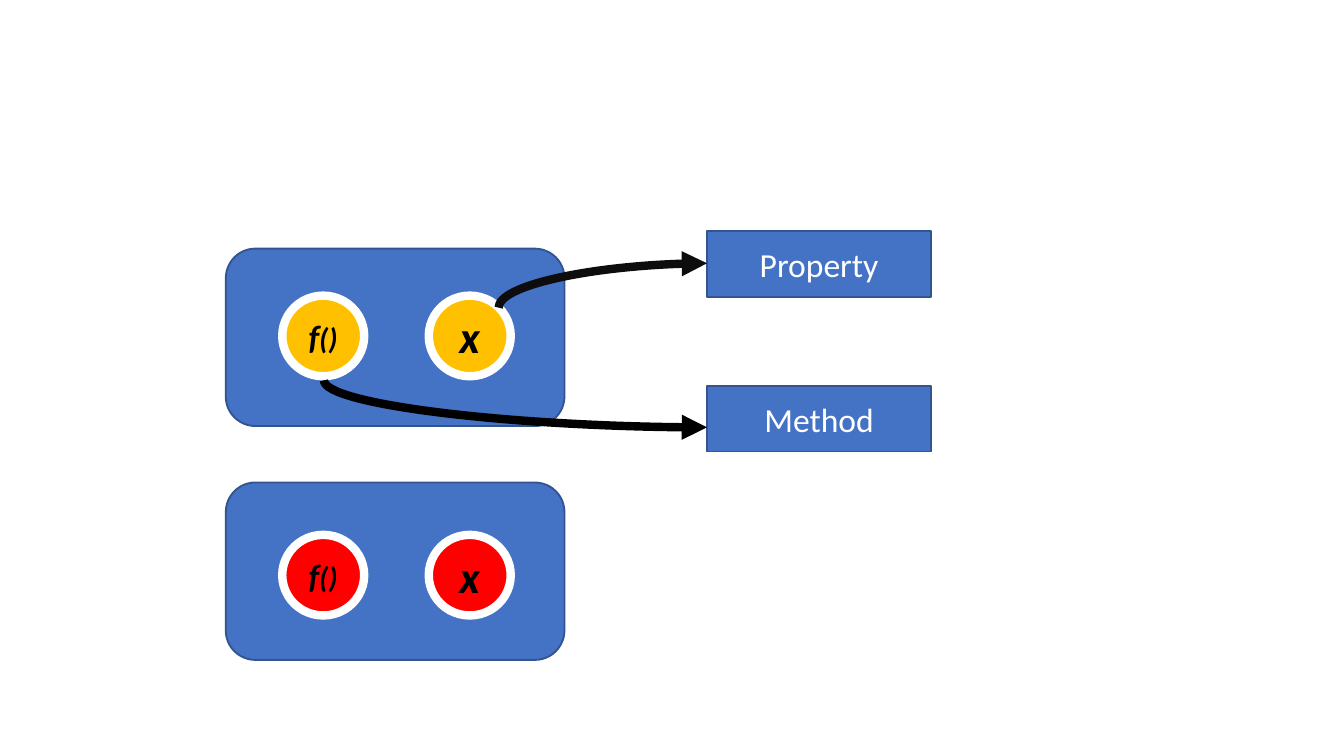
from lxml import etree
from pptx import Presentation
from pptx.dml.color import RGBColor
from pptx.enum.shapes import MSO_CONNECTOR, MSO_SHAPE
from pptx.enum.text import MSO_ANCHOR, PP_ALIGN
from pptx.oxml.ns import qn
from pptx.util import Inches, Pt

HUES = {"blue": "4472C4", "edge": "325491", "gold": "FFC000", "red": "FF0000",
        "white": "FFFFFF", "black": "000000", "ink": "0D0D0D"}

# Objects: card top, member top, member fill
CARDS = [(1.85, 2.2, "gold"), (3.59, 3.98, "red")]
# Members of each object: runs of (text, size)
MEMBERS = [[("f", 18), ("()", 16)], [("x", 24)]]
LABELS = [("Property", 1.72), ("Method", 2.87)]
# Arrows: start, end, colour
ARROWS = [((3.71, 2.29), (5.26, 1.96), "ink"),
          ((2.41, 2.83), (5.26, 3.18), "black")]

CARD_X, CARD_W, CARD_H = 1.68, 2.52, 1.32
DOT_X, DOT_STEP, DOT_W, DOT_H = 2.1, 1.09, 0.61, 0.6
LABEL_X, LABEL_W, LABEL_H = 5.26, 1.67, 0.49

MEMBER_FONT = {"name": "Calibri", "bold": True, "italic": True}
LABEL_FONT = {"name": "Calibri"}


def tint(name):
    return RGBColor.from_string(HUES[name])


def add_box(kind, box, fill, edge="edge", width=1):
    shape = slide.shapes.add_shape(kind, *map(Inches, box))
    shape.shadow.inherit = False
    shape.fill.solid()
    shape.fill.fore_color.rgb = tint(fill)
    shape.line.color.rgb = tint(edge)
    shape.line.width = Pt(width)
    return shape


def add_text(shape, runs, style, hue):
    frame = shape.text_frame
    frame.word_wrap = False
    frame.vertical_anchor = MSO_ANCHOR.MIDDLE
    for side in ("left", "right", "top", "bottom"):
        setattr(frame, f"margin_{side}", 0)
    para = frame.paragraphs[0]
    para.alignment = PP_ALIGN.CENTER
    for text, size in runs:
        run = para.add_run()
        run.text = text
        for key, value in {**style, "size": Pt(size)}.items():
            setattr(run.font, key, value)
        run.font.color.rgb = tint(hue)


def add_arrow(start, end, hue):
    """Draw a quarter curve that leaves vertically and arrives level."""
    (x1, y1), (x2, y2) = start, end
    mid_x, mid_y = (x1 + x2) / 2, (y1 + y2) / 2
    half_w, half_h = (x2 - x1) / 2, abs(y2 - y1) / 2
    turn, way = (270, -1) if y2 > y1 else (90, 1)
    # The preset leaves level, so lay it out upright and turn it
    line = slide.shapes.add_connector(
        MSO_CONNECTOR.CURVE,
        Inches(mid_x + half_h), Inches(mid_y + way * half_w),
        Inches(mid_x - half_h), Inches(mid_y - way * half_w))
    line.line.color.rgb = tint(hue)
    line.line.width = Pt(4.5)
    props = line._element.spPr
    props.find(qn("a:xfrm")).set("rot", str(turn * 60000))
    props.find(qn("a:prstGeom")).set("prst", "curvedConnector2")
    etree.SubElement(props.find(qn("a:ln")), qn("a:tailEnd"), type="triangle")
    etree.SubElement(props, qn("a:effectLst"))


deck = Presentation()
deck.slide_width = Inches(10)
deck.slide_height = deck.slide_width * 9 // 16
slide = deck.slides.add_slide(deck.slide_layouts[6])

for card_y, dot_y, fill in CARDS:
    add_box(MSO_SHAPE.ROUNDED_RECTANGLE, (CARD_X, card_y, CARD_W, CARD_H), "blue")
    for col, runs in enumerate(MEMBERS):
        box = (DOT_X + col * DOT_STEP, dot_y, DOT_W, DOT_H)
        dot = add_box(MSO_SHAPE.OVAL, box, fill, "white", 4.5)
        add_text(dot, runs, MEMBER_FONT, "black")

for text, top in LABELS:
    label = add_box(MSO_SHAPE.RECTANGLE, (LABEL_X, top, LABEL_W, LABEL_H), "blue")
    add_text(label, [(text, 18)], LABEL_FONT, "white")

for arrow in ARROWS:
    add_arrow(*arrow)

deck.save("out.pptx")
